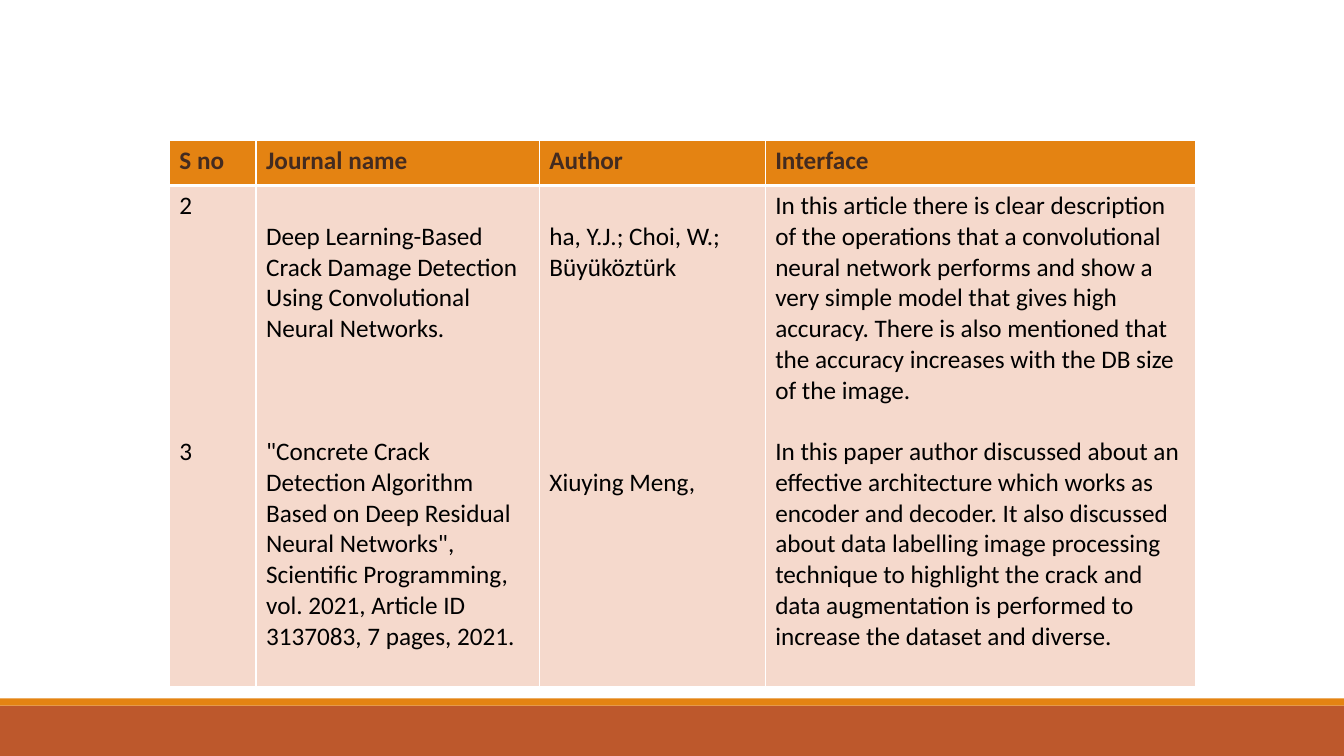
import pptx
import pptx.dml.color
import pptx.enum.shapes
import pptx.oxml
import pptx.oxml.ns
import pptx.util
from dataclasses import dataclass
from pptx.util import Inches


@dataclass(frozen=True)
class Theme:
    font: str = "Calibri"
    size: int = 18
    line: float = 21.97  # height of one text line, points
    head: str = "E48312"
    base: str = "BD582C"
    cell: str = "F5D9CC"
    dark: str = "432B20"
    text: str = "000000"
    rule: str = "FFFFFF"


THEME = Theme()
WIDTH, HEIGHT = 13.33, 7.5
COLS = [0.86, 2.81, 2.24, 4.27]
ROWS = [0.45, 4.97]
HEADS = ["S no", "Journal name", "Author", "Interface"]

# Each cell: (lines of space above, text) pairs
ENTRIES = [
    [(0, "2"), (7, "3")],
    [(1, "Deep Learning-Based Crack Damage Detection Using Convolutional "
         "Neural Networks."),
     (3, "\"Concrete Crack Detection Algorithm Based on Deep Residual Neural "
         "Networks\", Scientific Programming, vol. 2021, Article ID 3137083, "
         "7 pages, 2021.")],
    [(1, "ha, Y.J.; Choi, W.; Büyüköztürk"), (6, "Xiuying Meng,")],
    [(0, "In this article there is clear description of the operations that a "
         "convolutional neural network performs and show a very simple model "
         "that gives high accuracy. There is also mentioned that the accuracy "
         "increases with the DB size of the image."),
     (1, "In this paper author discussed about an effective architecture which "
         "works as encoder and decoder. It also discussed about data labelling "
         "image processing technique to highlight the crack and data "
         "augmentation is performed to increase the dataset and diverse.")],
]


def color(code):
    return pptx.dml.color.RGBColor.from_string(code)


def add_bar(slide, left, top, width, height, fill):
    bar = slide.shapes.add_shape(
        pptx.enum.shapes.MSO_SHAPE.RECTANGLE,
        Inches(left), Inches(top), Inches(width), Inches(height))
    bar.shadow.inherit = False
    bar.fill.solid()
    bar.fill.fore_color.rgb = color(fill)
    bar.line.fill.background()


def add_foot(slide, left, top, width, height):
    strip = 0.07
    add_bar(slide, left, top + strip, width, height - strip, THEME.base)
    add_bar(slide, left, top, width, strip, THEME.head)


def set_rules(cell, widths):
    props = cell._tc.get_or_add_tcPr()
    for side, width in zip("LRTB", widths):
        props.append(pptx.oxml.parse_xml(
            f'<a:ln{side} {pptx.oxml.ns.nsdecls("a")} '
            f'w="{pptx.util.Pt(width)}"><a:solidFill>'
            f'<a:srgbClr val="{THEME.rule}"/></a:solidFill></a:ln{side}>'))


def fill_cell(cell, parts, fill, ink, bold, widths):
    set_rules(cell, widths)
    cell.fill.solid()
    cell.fill.fore_color.rgb = color(fill)
    # Space above the first paragraph is a cell margin
    cell.margin_top = Inches(0.05) + pptx.util.Pt(parts[0][0] * THEME.line)
    frame = cell.text_frame
    for i, (gap, text) in enumerate(parts):
        para = frame.add_paragraph() if i else frame.paragraphs[0]
        para.text = text
        if i:
            para.space_before = pptx.util.Pt(gap * THEME.line)
        para.font.name = THEME.font
        para.font.size = pptx.util.Pt(THEME.size)
        para.font.bold = bold
        para.font.color.rgb = color(ink)


def add_papers(slide, left, top, width, height):
    table = slide.shapes.add_table(
        len(ROWS), len(COLS), Inches(left), Inches(top),
        Inches(width), Inches(height)).table
    for row, size in zip(table.rows, ROWS):
        row.height = Inches(size)
    for i, (size, head, entry) in enumerate(zip(COLS, HEADS, ENTRIES)):
        table.columns[i].width = Inches(size)
        fill_cell(table.cell(0, i), [(0, head)], THEME.head, THEME.dark,
                  True, (1, 1, 1, 3))
        fill_cell(table.cell(1, i), entry, THEME.cell, THEME.text,
                  False, (1, 1, 3, 1))


def main():
    deck = pptx.Presentation()
    deck.slide_width, deck.slide_height = Inches(WIDTH), Inches(HEIGHT)
    slide = deck.slides.add_slide(deck.slide_layouts[6])
    # Footer band
    add_foot(slide, 0, 6.93, WIDTH, 0.57)
    # Table of papers
    add_papers(slide, 1.68, 1.39, sum(COLS), sum(ROWS))
    deck.save("out.pptx")


if __name__ == "__main__":
    main()
